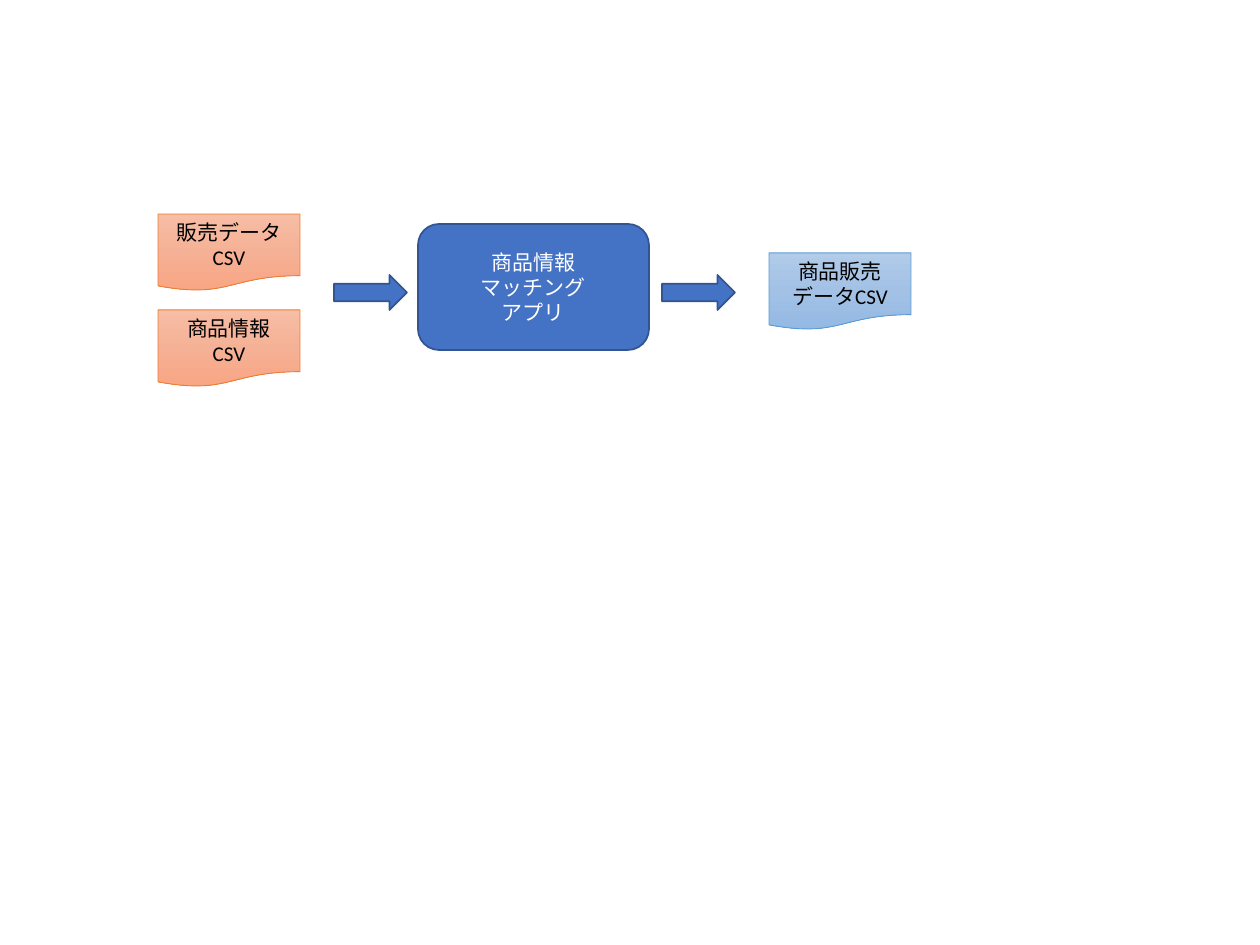
from copy import deepcopy

from pptx import Presentation
from pptx.dml.color import RGBColor
from pptx.enum.shapes import MSO_SHAPE as Kind
from pptx.enum.text import MSO_ANCHOR as Anchor, PP_ALIGN as Align
from pptx.oxml.ns import qn
from pptx.util import Emu, Pt

ORANGE = ("F7BDA5", "F5B196", "F8A582")
SKY = ("B1CBE9", "A3C1E5", "93B9E4")


def rgb(code):
    return RGBColor.from_string(code)


def px(count):
    return Emu(round(count * 914400 / 126))


class Flow:
    """Draws the parts of a data flow on one slide in one style."""

    font, size = "Calibri", 12
    blue, edge = "4472C4", "325491"

    def __init__(self, slide):
        self.slide = slide

    def shape(self, kind, box, line, width):
        item = self.slide.shapes.add_shape(kind, *map(px, box))
        item.shadow.inherit = False
        item.line.color.rgb = rgb(line)
        item.line.width = Pt(width)
        return item

    def solid(self, kind, box):
        item = self.shape(kind, box, self.edge, 1)
        item.fill.solid()
        item.fill.fore_color.rgb = rgb(self.blue)
        return item

    def fade(self, item, tones):
        fill = item.fill
        fill.gradient()
        fill.gradient_angle = 270
        first = next(item._element.spPr.iter(qn("a:gs")))
        first.addnext(deepcopy(first))
        for rank, (stop, tone) in enumerate(zip(fill.gradient_stops, tones)):
            stop.position = rank / 2
            stop.color.rgb = rgb(tone)

    def label(self, item, text, color):
        frame = item.text_frame
        frame.word_wrap = True
        frame.vertical_anchor = Anchor.MIDDLE
        frame.text = text
        for para in frame.paragraphs:
            para.alignment = Align.CENTER
            para.font.name = self.font
            para.font.size = Pt(self.size)
            para.font.color.rgb = rgb(color)

    def sheet(self, left, top, text, tones, line):
        item = self.shape(Kind.FLOWCHART_DOCUMENT, (left, top, 142, 77), line, 0.5)
        self.fade(item, tones)
        self.label(item, text, "000000")

    def arrow(self, left):
        self.solid(Kind.RIGHT_ARROW, (left, 275, 73, 35))

    def app(self, box, text):
        self.label(self.solid(Kind.ROUNDED_RECTANGLE, box), text, "FFFFFF")


def main():
    deck = Presentation()
    deck.slide_width, deck.slide_height = px(1260), px(945)
    flow = Flow(deck.slides.add_slide(deck.slide_layouts[6]))
    for top, name in ((310, "商品情報"), (214, "販売データ")):
        flow.sheet(158, top, name + "\vCSV", ORANGE, "ED7D31")
    for left in (334, 662):
        flow.arrow(left)
    flow.sheet(769, 253, "商品販売データCSV", SKY, "5B9BD5")
    flow.app((418, 224, 231, 126), "商品情報\nマッチング\nアプリ")
    deck.save("out.pptx")


if __name__ == "__main__":
    main()
